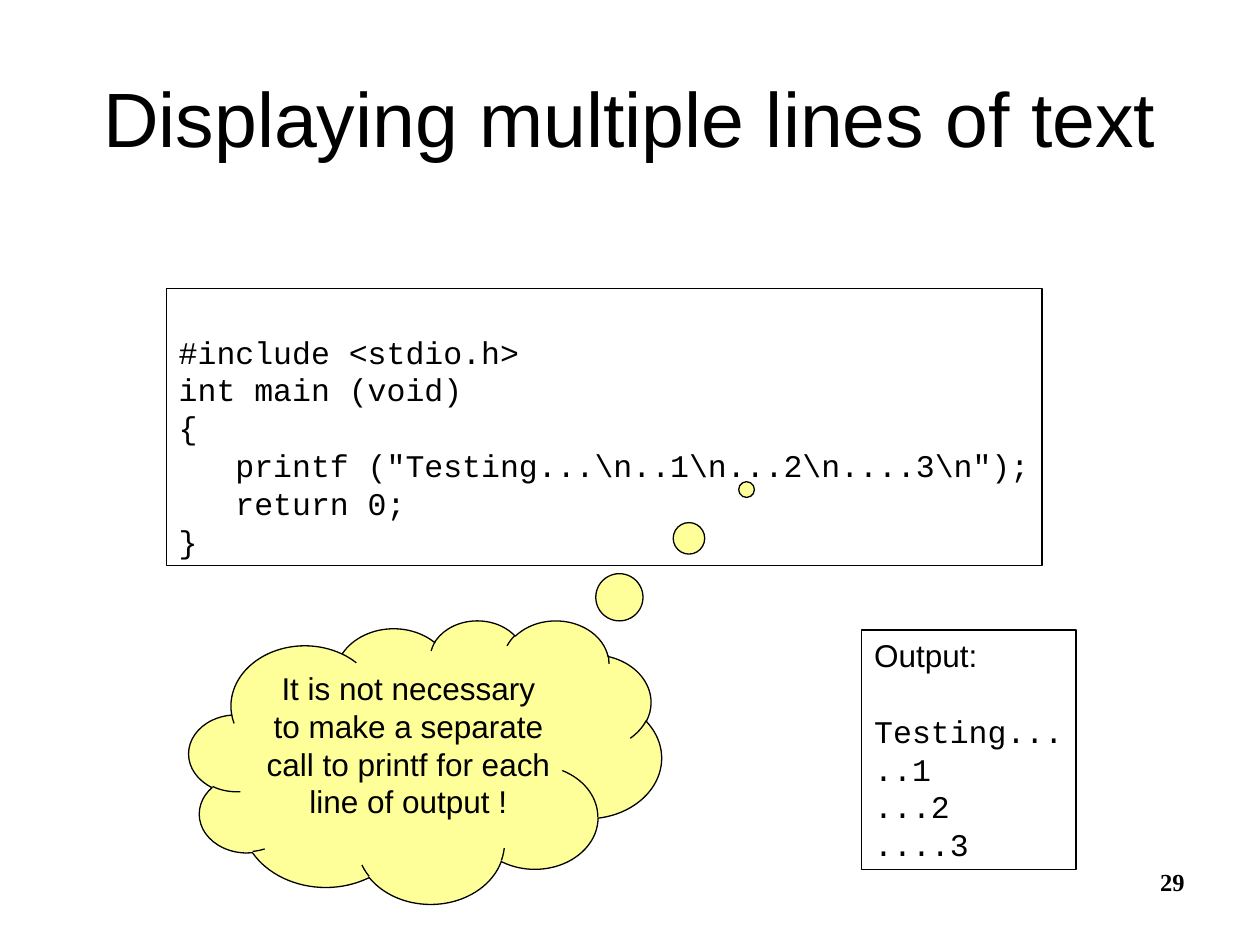
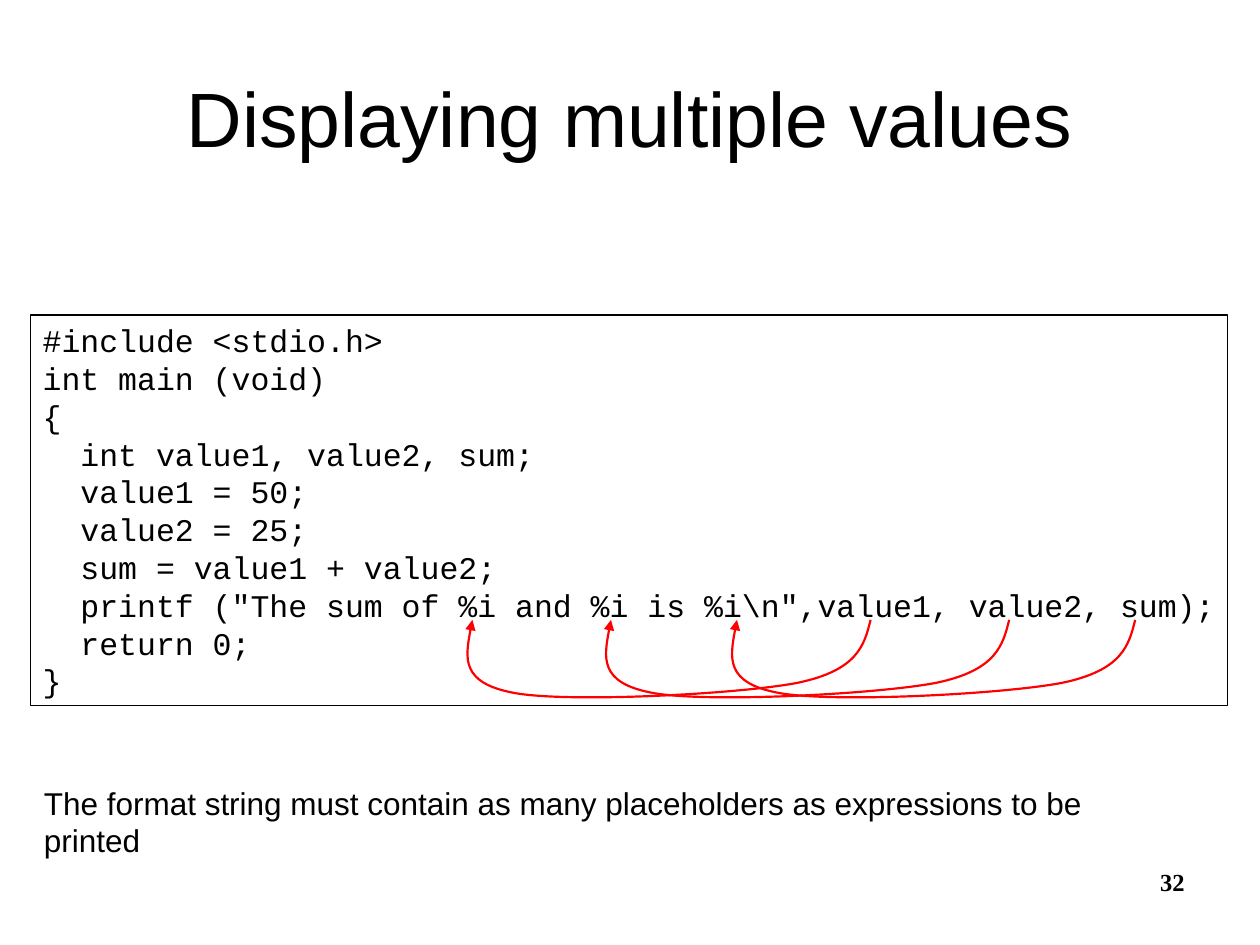
from lxml.etree import SubElement
from pptx import Presentation
from pptx.dml.color import RGBColor
from pptx.enum.shapes import MSO_SHAPE as Kind
from pptx.enum.text import MSO_ANCHOR as Anchor, PP_ALIGN as Align
from pptx.oxml.ns import qn
from pptx.util import Inches, Pt

COLORS = {"ink": "000000", "cloud": "FFFF99", "arrow": "FF0000"}
SANS, MONO, SERIF = "Arial", "Courier New", "Times New Roman"
PITCH = 21.6  # line height of body text, points

TITLE_BOX = (0.5, 0.3, 9, 1.25)
PAGE_BOX = (7.17, 6.83, 2.33, 0.52)

LINES_CODE = [
    "#include <stdio.h>",
    "int main (void)",
    "{",
    '   printf ("Testing...\\n..1\\n...2\\n....3\\n");',
    "   return 0;",
    "}",
]
OUTPUT = ["Output:", "Testing...", "..1", "...2", "....3"]
HINT = ("It is not necessary to make a separate call to printf "
        "for each line of output !")

VALUES_CODE = [
    "#include <stdio.h>",
    "int main (void)",
    "{",
    "  int value1, value2, sum;",
    "  value1 = 50;",
    "  value2 = 25;",
    "  sum = value1 + value2;",
    '  printf ("The sum of %i and %i is %i\\n",value1, value2, sum);',
    "  return 0;",
    "}",
]
RULE = ("The format string must contain as many placeholders "
        "as expressions to be printed")

# Each arrow runs from a value back to its placeholder: start, then three
# Bezier segments of three points, measured from the arrow's top left.
ARROW_LEFTS = [3.65, 4.75, 5.75]
ARROW_TOP = 4.92
CURVE = [
    (3.26, 0),
    (3.21, 0.2), (3.16, 0.4), (2.68, 0.5),
    (2.21, 0.59), (0.86, 0.66), (0.43, 0.58),
    (0, 0.5), (0.05, 0.25), (0.1, 0),
]


def paint(name):
    return RGBColor.from_string(COLORS[name])


def write(shape, lines, font=SANS, size=18, bold=False, align=Align.LEFT,
          anchor=Anchor.TOP, wrap=True, top=0.05, pitch=PITCH):
    frame = shape.text_frame
    frame.word_wrap = wrap
    frame.vertical_anchor = anchor
    frame.margin_left = frame.margin_right = Inches(0.1)
    frame.margin_top, frame.margin_bottom = Inches(top), Inches(0.05)
    for i, line in enumerate(lines):
        para = frame.paragraphs[0] if i == 0 else frame.add_paragraph()
        para.text = line
        para.alignment = align
        if pitch:
            para.line_spacing = Pt(pitch)
        para.font.name, para.font.size = font, Pt(size)
        para.font.bold = bold
        para.font.color.rgb = paint("ink")
    return frame


def add_text(slide, box, lines, **style):
    return write(slide.shapes.add_textbox(*map(Inches, box)), lines, **style)


def add_box(slide, box, kind=Kind.RECTANGLE, fill=None):
    shape = slide.shapes.add_shape(kind, *map(Inches, box))
    shape.shadow.inherit = False
    if fill:
        shape.fill.solid()
        shape.fill.fore_color.rgb = paint(fill)
    else:
        shape.fill.background()
    shape.line.color.rgb = paint("ink")
    shape.line.width = Pt(0.75)
    return shape


def add_arrow(slide, left):
    pts = [(Inches(left + x), Inches(ARROW_TOP + y)) for x, y in CURVE]
    build = slide.shapes.build_freeform(*pts[0])
    build.add_line_segments(pts[1:], close=False)
    shape = build.convert_to_shape()
    shape.shadow.inherit = False
    shape.fill.background()
    shape.line.color.rgb = paint("arrow")
    shape.line.width = Pt(1.25)
    SubElement(shape.line._get_or_add_ln(), qn("a:tailEnd"), type="triangle")

    # Turn every three straight segments into one cubic Bezier.
    route = shape._element.find(".//" + qn("a:path"))
    steps = route.findall(qn("a:lnTo"))
    for i in range(0, len(steps), 3):
        bend = SubElement(route, qn("a:cubicBezTo"))
        for step in steps[i:i + 3]:
            bend.append(step[0])
            route.remove(step)


def add_slide(deck, title, page):
    slide = deck.slides.add_slide(deck.slide_layouts[6])
    add_text(slide, TITLE_BOX, [title], size=44, align=Align.CENTER,
             anchor=Anchor.MIDDLE, pitch=None)
    add_text(slide, PAGE_BOX, [page], font=SERIF, size=14, bold=True,
             align=Align.RIGHT, pitch=None)
    return slide


def show_lines(deck):
    slide = add_slide(deck, "Displaying multiple lines of text", "29")
    write(add_box(slide, (1.32, 2.29, 6.95, 2.2)), LINES_CODE, font=MONO,
          wrap=False, top=0.35)
    frame = write(add_box(slide, (6.84, 5, 1.7, 1.9)), OUTPUT, font=MONO,
                  wrap=False)
    head, first = frame.paragraphs[:2]
    head.font.name = SANS
    first.space_before = Pt(PITCH)
    cloud = add_box(slide, (1.5, 4.92, 3.75, 2.25), Kind.CLOUD_CALLOUT,
                    "cloud")
    cloud.adjustments[0], cloud.adjustments[1] = 0.68, -0.96
    write(cloud, [HINT], align=Align.CENTER)


def show_values(deck):
    slide = add_slide(deck, "Displaying multiple values", "32")
    write(add_box(slide, (0.24, 2.5, 9.5, 3.1)), VALUES_CODE, font=MONO,
          wrap=False)
    for left in ARROW_LEFTS:
        add_arrow(slide, left)
    add_text(slide, (0.25, 6.17, 9.27, 0.4), [RULE], wrap=False)


def main():
    deck = Presentation()
    deck.slide_width, deck.slide_height = Inches(10), Inches(7.5)
    show_lines(deck)
    show_values(deck)
    deck.save("out.pptx")


if __name__ == "__main__":
    main()
